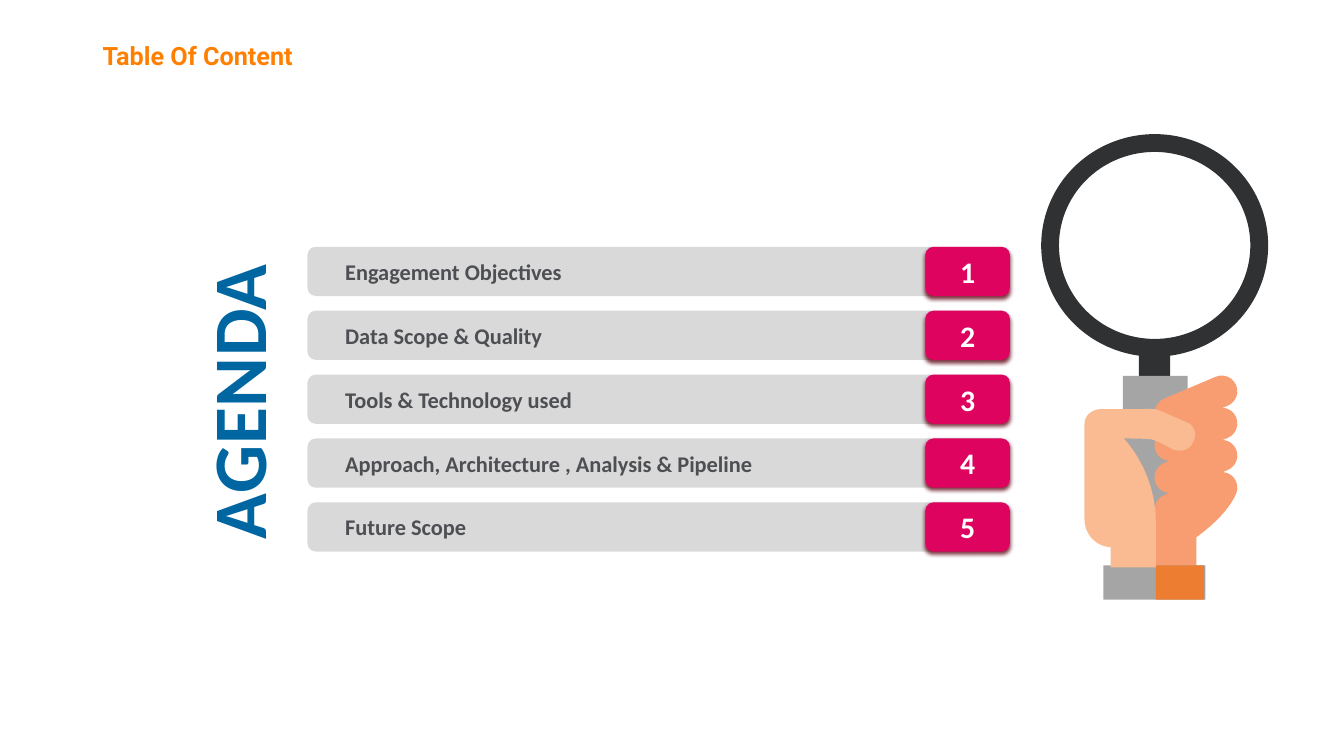
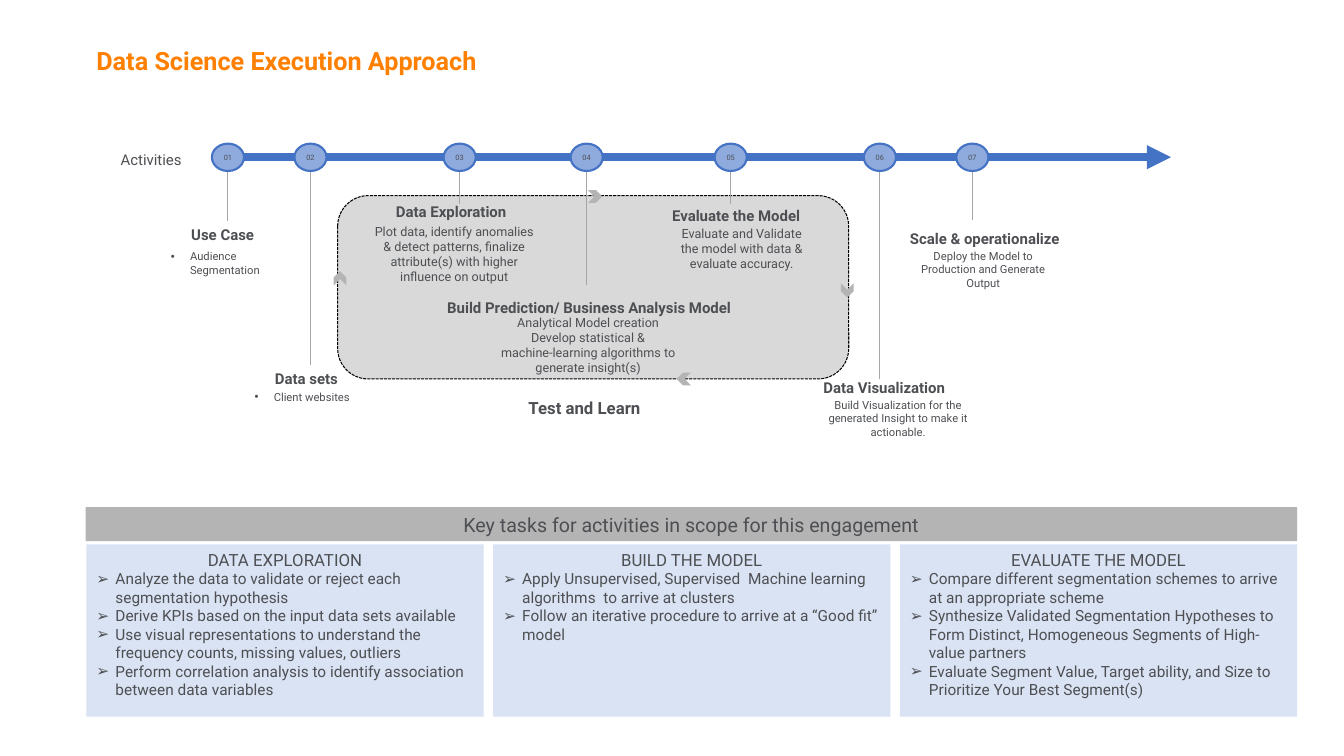
from dataclasses import dataclass
from typing import NamedTuple

from lxml import etree
from pptx import Presentation
from pptx import util as u
from pptx.dml import color
from pptx.enum import dml, shapes, text
from pptx.oxml import ns

KIND = shapes.MSO_SHAPE
ALIGN = text.PP_ALIGN
ANCHOR = text.MSO_ANCHOR


# Theme: colours, fonts and type sizes
@dataclass(frozen=True)
class Theme:
    title: str = "FF8000"
    ink: str = "4D4F53"
    white: str = "FFFFFF"
    black: str = "000000"
    agenda: str = "0066A1"
    tag: str = "DD035F"
    tag_shadow: str = "670F1E"
    bar: str = "D9D9D9"
    band: str = "B4B4B4"
    panel: str = "DAE3F3"
    axis: str = "4472C4"
    dot: str = "8FAADC"
    stem: str = "A6A6A6"
    lens: str = "2F3133"
    handle: str = "A5A5A5"
    cuff: str = "ED7D31"
    finger: str = "F89D72"
    palm: str = "FBBB92"
    main_font: str = "Roboto"
    agenda_font: str = "Calibri"
    title_size: float = 18
    agenda_size: float = 54
    bar_size: float = 16
    tag_size: float = 21.3
    band_size: float = 14
    heading_size: float = 12
    list_size: float = 11
    stage_size: float = 10.7
    detail_size: float = 9
    small_size: float = 8
    dot_size: float = 5.3


THEME = Theme()


class Area(NamedTuple):
    """A rectangle in centimetres."""
    left: float
    top: float
    width: float
    height: float

    def lengths(self):
        return [u.Cm(value) for value in self]


@dataclass(frozen=True)
class Stage:
    centre: float
    stem_end: float
    heading: str
    heading_area: Area
    details: tuple[str, ...]
    detail_area: Area
    size: float = THEME.small_size
    bullet: str = ""


class Panel(NamedTuple):
    heading: str
    tasks: tuple[str, ...]


class Arrow(NamedTuple):
    x: float
    y: float
    turn: int


# Content
AGENDA = ("Engagement Objectives", "Data Scope & Quality", "Tools & Technology used",
          "Approach, Architecture , Analysis & Pipeline", "Future Scope")

STAGES = (
    Stage(5.74, 5.56, "Use Case", Area(4.57, 5.56, 2.18, 0.71),
          ("Audience Segmentation",), Area(4.06, 6.17, 3.66, 0.94), bullet="•"),
    Stage(7.82, 9.19, "Data sets", Area(6.68, 9.19, 2.16, 0.71),
          ("Client websites",), Area(6.17, 9.7, 4.17, 0.61), bullet="•"),
    Stage(11.58, 5.13, "Data Exploration", Area(9.73, 4.98, 3.61, 0.71),
          ("Plot data, identify anomalies & detect patterns, finalize attribute(s) "
           "with higher influence on output",),
          Area(9.17, 5.51, 4.55, 1.8), THEME.detail_size),
    Stage(14.78, 7.19, "Build Prediction/ Business Analysis Model",
          Area(11.02, 7.39, 8.23, 0.71),
          ("Analytical Model creation", "Develop statistical &",
           "machine-learning algorithms to generate insight(s)"),
          Area(11.76, 7.8, 6.12, 1.8), THEME.detail_size),
    Stage(18.41, 5.13, "Evaluate the Model", Area(16.69, 5.08, 4.06, 0.71),
          ("Evaluate and Validate the model with data & evaluate accuracy.",),
          Area(16.76, 5.56, 3.86, 1.42), THEME.detail_size),
    Stage(22.17, 9.55, "Data Visualization", Area(20.5, 9.42, 3.84, 0.71),
          ("Build Visualization for the generated Insight to make it actionable.",),
          Area(20.22, 9.91, 4.83, 1.27)),
    Stage(24.5, 5.54, "Scale & operationalize", Area(22.68, 5.66, 4.5, 0.71),
          ("Deploy the Model to Production and Generate Output",),
          Area(22.94, 6.15, 3.68, 1.27)),
)

LOOP_ARROWS = (Arrow(15, 4.95, 0), Arrow(21.35, 7.32, 90),
               Arrow(17.23, 9.55, 180), Arrow(8.57, 7.01, 270))

PANELS = (
    Panel("DATA EXPLORATION", (
        "Analyze the data to validate or reject each segmentation hypothesis",
        "Derive KPIs based on the input data sets available",
        "Use visual representations to understand the frequency counts, missing values, outliers",
        "Perform correlation analysis to identify association between data variables")),
    Panel("BUILD THE MODEL", (
        "Apply Unsupervised, Supervised  Machine learning algorithms  to arrive at clusters",
        "Follow an iterative procedure to arrive at a “Good fit” model")),
    Panel("EVALUATE THE MODEL", (
        "Compare different segmentation schemes to arrive at an appropriate scheme",
        "Synthesize Validated Segmentation Hypotheses to Form Distinct, Homogeneous "
        "Segments of High-value partners",
        "Evaluate Segment Value, Target ability, and Size to Prioritize Your Best Segment(s)")),
)

# Hand outlines: two numbers are a straight step, six a curve
WRIST = ((31.12, 12.5), (31.12, 12.5, 30.96, 12.95, 30.15, 13.54), (30.15, 14.3),
         (29.08, 14.3), (29.08, 12.98))
PALM = ((29.9, 10.64), (29.21, 10.34), (29.11, 10.29, 28.83, 10.31, 28.78, 10.31),
        (27.76, 10.31), (27.53, 10.31, 27.33, 10.46, 27.33, 10.69), (27.33, 13.08),
        (27.33, 13.46, 27.61, 13.77, 27.99, 13.79), (27.99, 14.3), (29.13, 14.3),
        (29.13, 13.16), (29.13, 11.86, 28.32, 11.05, 28.32, 11.05),
        (28.32, 11.05, 28.83, 11.05, 29.01, 11.07),
        (29.16, 11.1, 29.57, 11.33, 29.57, 11.33),
        (29.77, 11.4, 30, 11.33, 30.07, 11.13),
        (30.18, 10.95, 30.1, 10.72, 29.9, 10.64))


# Drawing helpers
def rgb(value: str):
    return color.RGBColor.from_string(value)


def write(box, lines, *, size: float, tint: str = THEME.ink, font: str = THEME.main_font,
          bold: bool = False, align=ALIGN.LEFT, bullet: str = "", indent: float = 0,
          spacing: int = 0, append: bool = False):
    """Put one paragraph per line into a shape."""
    frame = box.text_frame
    for number, line in enumerate(lines):
        para = frame.add_paragraph() if append or number else frame.paragraphs[0]
        para.alignment = align
        properties = para._p.get_or_add_pPr()
        if bullet:
            hang = u.Cm(0.48)
            properties.set("marL", str(hang))
            properties.set("indent", str(-hang))
            etree.SubElement(properties, ns.qn("a:buFont"), typeface="Arial")
            etree.SubElement(properties, ns.qn("a:buChar"), char=bullet)
        elif indent:
            properties.set("marL", str(u.Cm(indent)))
        span = para.add_run()
        span.text = line
        span.font.size = u.Pt(size)
        span.font.name = font
        span.font.bold = bold
        span.font.color.rgb = rgb(tint)
        if spacing:
            span._r.get_or_add_rPr().set("spc", str(spacing))


def add_text(page, area: Area, *lines: str, anchor=ANCHOR.TOP, **look):
    box = page.shapes.add_textbox(*area.lengths())
    box.text_frame.word_wrap = True
    box.text_frame.vertical_anchor = anchor
    write(box, lines, **look)
    return box


def paint(shape, fill: str, line: str = "", weight: float = 1):
    shape.shadow.inherit = False
    shape.fill.solid()
    shape.fill.fore_color.rgb = rgb(fill)
    if line:
        shape.line.color.rgb = rgb(line)
        shape.line.width = u.Pt(weight)
    else:
        shape.line.fill.background()
    return shape


def add_box(page, kind, area: Area, fill: str, line: str = "", weight: float = 1):
    return paint(page.shapes.add_shape(kind, *area.lengths()), fill, line, weight)


def add_line(page, start: tuple, end: tuple, tint: str, weight: float, arrow: bool = False):
    line = page.shapes.add_connector(shapes.MSO_CONNECTOR.STRAIGHT,
                                     *(u.Cm(value) for value in start + end))
    line.line.color.rgb = rgb(tint)
    line.line.width = u.Pt(weight)
    if arrow:
        etree.SubElement(line.line._get_or_add_ln(), ns.qn("a:tailEnd"), type="triangle")
    etree.SubElement(line._element.spPr, ns.qn("a:effectLst"))


def drop_shadow(shape, tint: str):
    effects = shape._element.spPr.find(ns.qn("a:effectLst"))
    shadow = etree.SubElement(effects, ns.qn("a:outerShdw"), blurRad=str(u.Pt(3.1)),
                              dist=str(u.Pt(2)), dir="5400000", algn="t", rotWithShape="0")
    shade = etree.SubElement(shadow, ns.qn("a:srgbClr"), val=tint)
    etree.SubElement(shade, ns.qn("a:alpha"), val="83000")


def add_outline(page, steps: tuple, fill: str, pieces: int = 12):
    """Draw a closed outline, dividing each cubic curve into short pieces."""
    points = [steps[0]]
    for step in steps[1:]:
        if len(step) == 2:
            points.append(step)
            continue
        knots = (points[-1], step[:2], step[2:4], step[4:])
        for piece in range(1, pieces + 1):
            t = piece / pieces
            weights = ((1 - t) ** 3, 3 * t * (1 - t) ** 2, 3 * t * t * (1 - t), t ** 3)
            points.append(tuple(sum(w * knot[axis] for w, knot in zip(weights, knots))
                                for axis in (0, 1)))
    places = [(u.Cm(x), u.Cm(y)) for x, y in points]
    builder = page.shapes.build_freeform(*places[0])
    builder.add_line_segments(places[1:], close=True)
    paint(builder.convert_to_shape(), fill)


def add_page(deck, title: str, left: float, top: float):
    page = deck.slides.add_slide(deck.slide_layouts[6])
    add_text(page, Area(left, top, 20.2, 1.55), title, anchor=ANCHOR.MIDDLE,
             size=THEME.title_size, tint=THEME.title, bold=True)
    return page


# Magnifying glass held in a hand
def draw_magnifier(page):
    add_box(page, KIND.RECTANGLE, Area(28.7, 8.79, 0.79, 0.79), THEME.lens)
    add_outline(page, WRIST, THEME.finger)
    add_box(page, KIND.RECTANGLE, Area(28.3, 9.47, 1.63, 3.4), THEME.handle)
    add_box(page, KIND.RECTANGLE, Area(27.81, 14.25, 2.57, 0.86), THEME.handle)
    add_box(page, KIND.RECTANGLE, Area(29.13, 14.25, 1.22, 0.86), THEME.cuff)
    for number in range(4):
        finger = add_box(page, KIND.ROUNDED_RECTANGLE,
                         Area(29.04, 9.74 + 0.81 * number, 2.2, 0.79), THEME.finger)
        finger.adjustments[0] = 0.5
        finger.rotation = -23
    ring = add_box(page, KIND.DONUT, Area(26.24, 3.38, 5.72, 5.61), THEME.lens)
    ring.adjustments[0] = 0.08
    add_outline(page, PALM, THEME.palm)


def draw_agenda(deck):
    page = add_page(deck, "Table Of Content", 2.34, 0.62)
    look = {"font": THEME.agenda_font, "bold": True}
    for number, topic in enumerate(AGENDA):
        top = 6.22 + 1.61 * number
        bar = add_box(page, KIND.ROUNDED_RECTANGLE, Area(7.75, top, 17.7, 1.24), THEME.bar)
        write(bar, [topic], size=THEME.bar_size, indent=0.64, **look)
        tag = add_box(page, KIND.ROUNDED_RECTANGLE, Area(23.32, top, 2.13, 1.24), THEME.tag)
        drop_shadow(tag, THEME.tag_shadow)
        write(tag, [str(number + 1)], size=THEME.tag_size, tint=THEME.white,
              align=ALIGN.CENTER, **look)
    label = add_text(page, Area(2.13, 8.84, 7.67, 2.57), "AGENDA", size=THEME.agenda_size,
                     tint=THEME.agenda, align=ALIGN.CENTER, spacing=50, **look)
    label.rotation = 270
    draw_magnifier(page)


# Timeline with its stages and the test loop
def draw_timeline(page):
    add_line(page, (5.56, 3.96), (29.51, 3.96), THEME.axis, 5.75, arrow=True)
    loop = add_box(page, KIND.ROUNDED_RECTANGLE, Area(8.51, 4.93, 12.88, 4.62),
                   THEME.bar, THEME.black, 0.75)
    loop.line.dash_style = dml.MSO_LINE.SQUARE_DOT
    for number, stage in enumerate(STAGES, 1):
        add_line(page, (stage.centre, 4.3), (stage.centre, stage.stem_end), THEME.stem, 0.5)
        dot = add_box(page, KIND.OVAL, Area(stage.centre - 0.4, 3.62, 0.81, 0.69),
                      THEME.dot, THEME.axis, 1.5)
        frame = dot.text_frame
        frame.margin_left = frame.margin_right = frame.margin_top = frame.margin_bottom = 0
        write(dot, [f"{number:02}"], size=THEME.dot_size, align=ALIGN.CENTER)
        add_text(page, stage.detail_area, *stage.details, size=stage.size, bullet=stage.bullet,
                 align=ALIGN.LEFT if stage.bullet else ALIGN.CENTER)
        add_text(page, stage.heading_area, stage.heading, size=THEME.stage_size, bold=True)
    for arrow in LOOP_ARROWS:
        chevron = add_box(page, KIND.CHEVRON, Area(arrow.x - 0.18, arrow.y - 0.16, 0.36, 0.32),
                          THEME.band)
        chevron.rotation = arrow.turn
    add_text(page, Area(12.95, 9.91, 3.56, 0.76), "Test and Learn",
             size=THEME.heading_size, bold=True, align=ALIGN.CENTER)
    add_text(page, Area(2.79, 3.68, 2.29, 0.71), "Activities", size=THEME.stage_size)


def draw_approach(deck):
    page = add_page(deck, "Data Science Execution Approach", 2.18, 0.76)
    draw_timeline(page)
    # Key tasks
    band = add_box(page, KIND.RECTANGLE, Area(2.16, 12.78, 30.53, 0.86), THEME.band)
    write(band, ["Key tasks for activities in scope for this engagement"],
          size=THEME.band_size, align=ALIGN.CENTER)
    for number, panel in enumerate(PANELS):
        box = add_box(page, KIND.RECTANGLE, Area(2.18 + 10.25 * number, 13.72, 10.01, 4.34),
                      THEME.panel)
        box.text_frame.vertical_anchor = ANCHOR.TOP
        write(box, [panel.heading], size=THEME.heading_size, align=ALIGN.CENTER)
        write(box, panel.tasks, size=THEME.list_size, bullet="➢", append=True)


def main():
    deck = Presentation()
    deck.slide_width, deck.slide_height = u.Cm(33.87), u.Cm(19.05)
    draw_agenda(deck)
    draw_approach(deck)
    deck.save("out.pptx")


if __name__ == "__main__":
    main()
